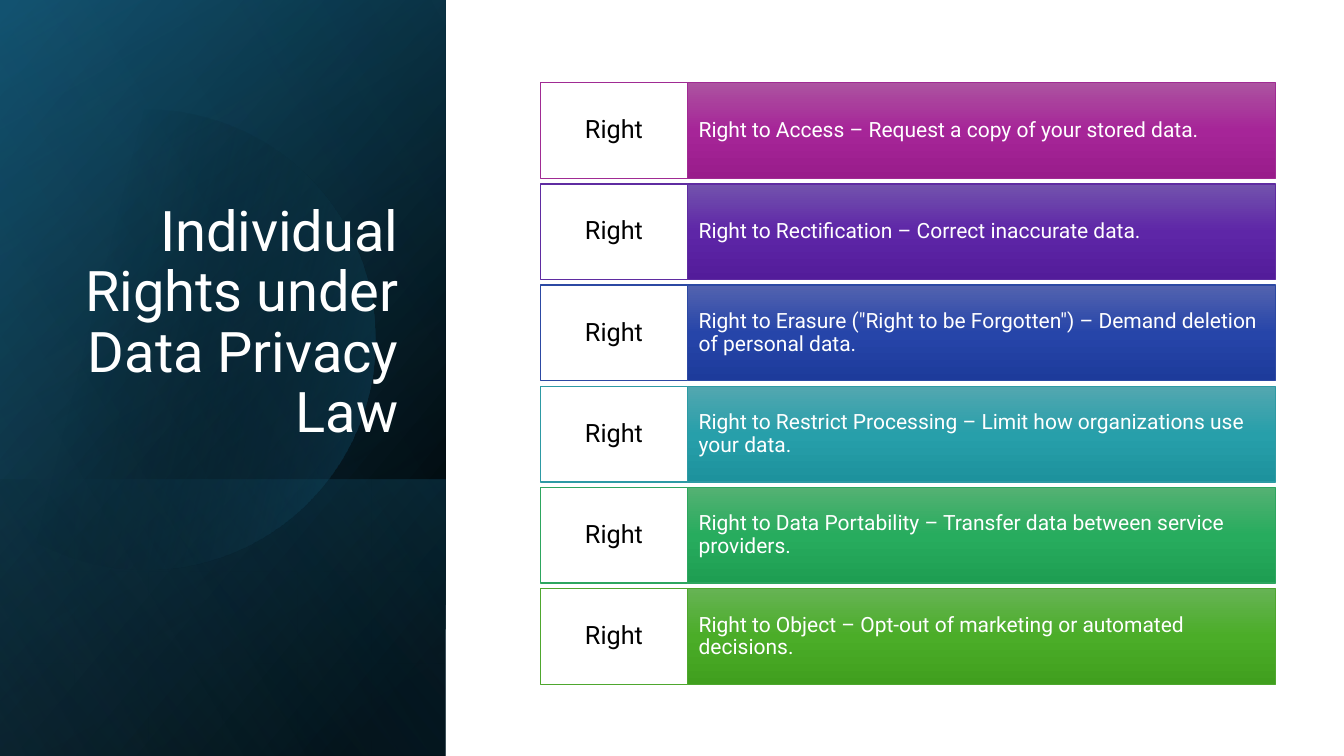
import math
from dataclasses import dataclass

from lxml import etree
from pptx import Presentation
from pptx.dml.color import RGBColor
from pptx.enum import shapes, text
from pptx.oxml import ns
from pptx.util import Inches, Pt


@dataclass(frozen=True)
class Theme:
    font: str = "Roboto"
    white: str = "FFFFFF"
    black: str = "000000"
    teal: str = "156082"
    deep_teal: str = "104862"
    sky: str = "46B1E1"
    title_size: int = 40
    label_size: int = 18
    detail_size: int = 15


THEME = Theme()

# Description, outline colour, gradient colours from top to bottom
RIGHTS = [
    ("Right to Access – Request a copy of your stored data.",
     "A02B93", ("AC53A0", "A62598", "991C8B")),
    ("Right to Rectification – Correct inaccurate data.",
     "5F2CA1", ("7353AD", "5E26A7", "531C9A")),
    ('Right to Erasure ("Right to be Forgotten") – Demand deletion of personal data.',
     "2C49A3", ("5363AF", "2645A9", "1D3B9B")),
    ("Right to Restrict Processing – Limit how organizations use your data.",
     "2D9AA4", ("53A7B0", "279FAA", "1D929D")),
    ("Right to Data Portability – Transfer data between service providers.",
     "2DA65F", ("54B173", "27AC5E", "1E9E52")),
    ("Right to Object – Opt-out of marketing or automated decisions.",
     "4EA72E", ("66B354", "4BAD28", "409F1E")),
]


def fill_gradient(shape, stops, angle):
    """Fill with stops of (position %, colour, opacity %)."""
    shape.fill.background()
    properties = shape._element.spPr
    gradient = etree.Element(ns.qn("a:gradFill"), rotWithShape="1")
    stop_list = etree.SubElement(gradient, ns.qn("a:gsLst"))
    for position, colour, opacity in stops:
        stop = etree.SubElement(stop_list, ns.qn("a:gs"), pos=str(position * 1000))
        rgb = etree.SubElement(stop, ns.qn("a:srgbClr"), val=colour)
        if opacity < 100:
            etree.SubElement(rgb, ns.qn("a:alpha"), val=str(opacity * 1000))
    etree.SubElement(gradient, ns.qn("a:lin"), ang=str(angle * 60000), scaled="0")
    properties.replace(properties.find(ns.qn("a:noFill")), gradient)


def add_box(slide, left, top, width, height):
    box = slide.shapes.add_shape(shapes.MSO_SHAPE.RECTANGLE, Inches(left), Inches(top),
                                 Inches(width), Inches(height))
    box.shadow.inherit = False
    return box


def add_panel_layer(slide, left, top, width, height, stops, angle):
    """Add a mirrored, quarter-turned layer of the side panel."""
    layer = add_box(slide, left, top, width, height)
    layer.rotation = 90
    layer._element.spPr.xfrm.set("flipH", "1")
    layer.line.fill.background()
    fill_gradient(layer, stops, angle)


def add_panel_disc(slide):
    """Add the large disc, cut off at the slide's left edge."""
    centre_x, centre_y, radius = 1.44, 3.37, 2.28
    cut = math.acos(-centre_x / radius)
    steps = 90
    angles = [cut * (2 * step / steps - 1) for step in range(steps + 1)]
    rim = [(Inches(centre_x + radius * math.cos(a)), Inches(centre_y + radius * math.sin(a)))
           for a in angles]
    outline = slide.shapes.build_freeform(*rim[0])
    outline.add_line_segments(rim[1:], close=True)
    disc = outline.convert_to_shape()
    disc.shadow.inherit = False
    disc.line.fill.background()
    fill_gradient(disc, [(29, THEME.black, 0), (100, THEME.teal, 43)], 14)


def write(shape, words, size, colour, align, anchor, inset_x, inset_y):
    frame = shape.text_frame
    frame.word_wrap = True
    frame.vertical_anchor = anchor
    frame.margin_left = frame.margin_right = Inches(inset_x)
    frame.margin_top = frame.margin_bottom = Inches(inset_y)
    frame.text = words
    paragraph = frame.paragraphs[0]
    paragraph.alignment = align
    paragraph.line_spacing = 0.9
    font = paragraph.runs[0].font
    font.name = THEME.font
    font.size = Pt(size)
    font.color.rgb = RGBColor.from_string(colour)


def add_right(slide, top, description, outline, colours):
    """Add one row: white label on the left, coloured description on the right."""
    height = 0.95
    detail = add_box(slide, 6.82, top, 5.83, height)
    fill_gradient(detail, [(i * 50, colour, 100) for i, colour in enumerate(colours)], 90)
    write(detail, description, THEME.detail_size, THEME.white,
          text.PP_ALIGN.LEFT, text.MSO_ANCHOR.MIDDLE, 0.11, 0.24)

    label = add_box(slide, 5.36, top, 1.46, height)
    label.fill.solid()
    label.fill.fore_color.rgb = RGBColor.from_string(THEME.white)
    write(label, "Right", THEME.label_size, THEME.black,
          text.PP_ALIGN.CENTER, text.MSO_ANCHOR.MIDDLE, 0.08, 0.09)

    for cell in (detail, label):
        cell.line.color.rgb = RGBColor.from_string(outline)
        cell.line.width = Pt(1)


def main():
    deck = Presentation()
    deck.slide_width, deck.slide_height = Inches(13.33), Inches(7.5)
    slide = deck.slides.add_slide(deck.slide_layouts[6])

    # Side panel
    full = (-1.54, 1.54, 7.5, 4.42)
    lower = (0.84, 3.92, 2.74, 4.42)
    add_panel_layer(slide, *full, [(8, THEME.black, 100), (100, THEME.deep_teal, 100)], 50)
    add_panel_layer(slide, *full, [(0, THEME.black, 0), (99, THEME.teal, 46)], 30)
    add_panel_layer(slide, *lower, [(2, THEME.teal, 29), (100, THEME.black, 30)], 130)
    add_panel_disc(slide)
    add_panel_layer(slide, *full, [(0, THEME.black, 0), (99, THEME.sky, 11)], 120)

    # Title
    title = slide.shapes.add_textbox(Inches(0.64), Inches(1.84), Inches(3.41), Inches(2.62))
    write(title, "Individual Rights under Data Privacy Law", THEME.title_size, THEME.white,
          text.PP_ALIGN.RIGHT, text.MSO_ANCHOR.BOTTOM, 0.1, 0.05)

    # List of rights
    first_top, last_top = 0.82, 5.84
    pitch = (last_top - first_top) / (len(RIGHTS) - 1)
    for row, right in enumerate(RIGHTS):
        add_right(slide, first_top + row * pitch, *right)

    deck.save("out.pptx")


if __name__ == "__main__":
    main()
